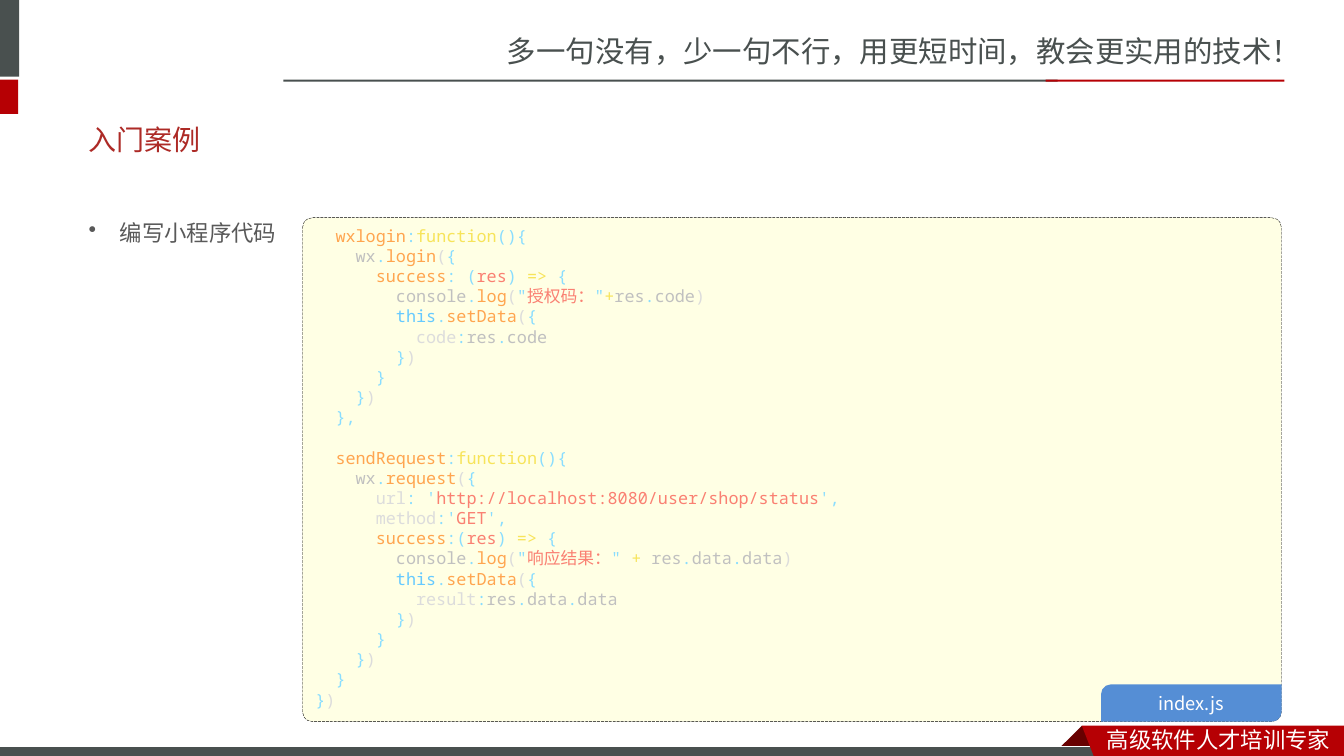
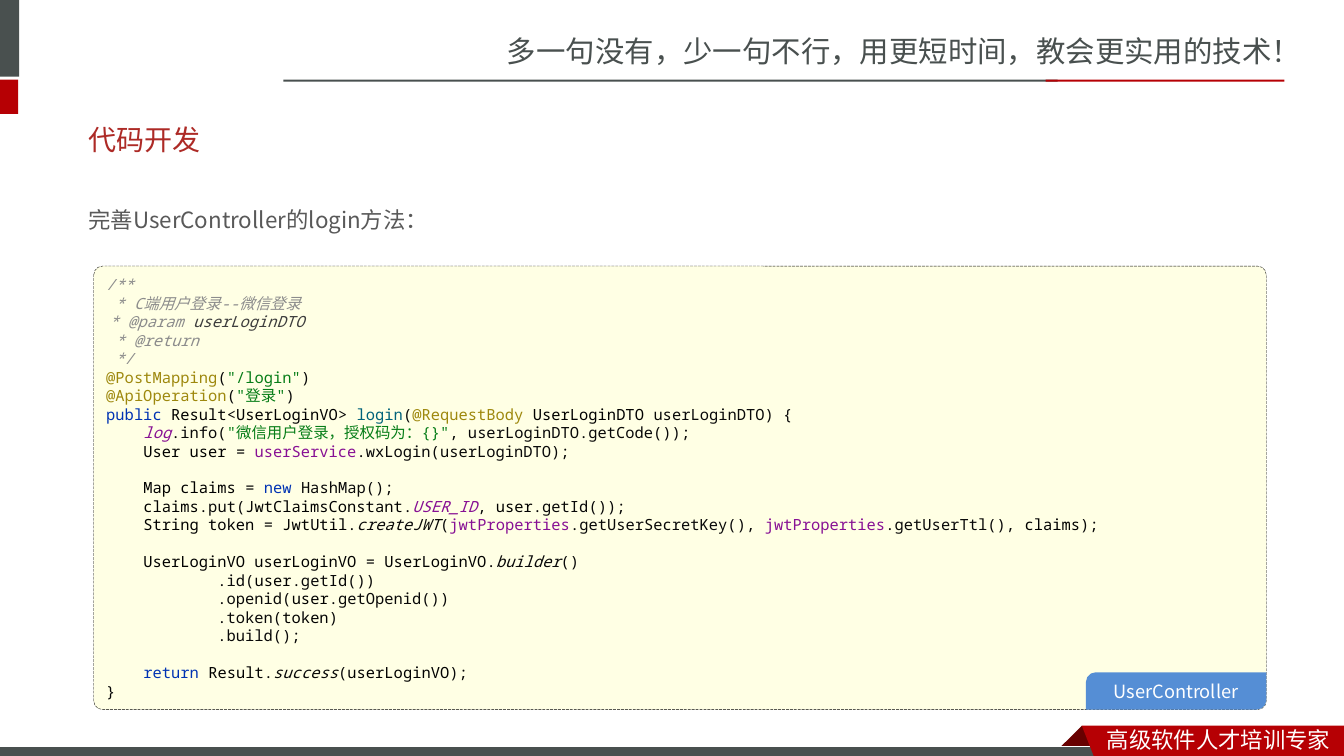
import dataclasses

import lxml.etree
import pptx
import pptx.dml.color
import pptx.enum.dml
import pptx.enum.shapes
import pptx.enum.text
import pptx.oxml.ns
import pptx.util

Inches = pptx.util.Inches
Pt = pptx.util.Pt
SHAPE = pptx.enum.shapes.MSO_SHAPE
ALIGN = pptx.enum.text.PP_ALIGN
ANCHOR = pptx.enum.text.MSO_ANCHOR


@dataclasses.dataclass(frozen=True)
class Theme:
    gray: str = "49504F"
    red: str = "B60004"
    dark_red: str = "680000"
    title_red: str = "AD2A26"
    body_gray: str = "595959"
    white: str = "FFFFFF"
    black: str = "000000"
    code_fill: str = "FFFFE4"
    label_fill: str = "558ED5"
    chrome_font: str = "Noto Sans CJK SC"
    body_font: str = "Noto Sans CJK JP"
    title_font: str = "Lato"
    code_font: str = "Noto Sans Mono"
    slogan_size: int = 21
    title_size: int = 20
    body_size: int = 16
    label_size: int = 13
    code_line_height: float = 1.2


THEME = Theme()

# Each palette maps the letter after "~" in a listing to a colour and an italic flag.
SCRIPT_PALETTE = {
    "g": ("DCDCDC", False),  # plain
    "n": ("C0C0C0", False),  # name
    "o": ("FFA54F", False),  # function name
    "p": ("89DDFF", False),  # punctuation
    "k": ("F7E45A", False),  # keyword
    "s": ("FA8072", False),  # string or parameter
    "t": ("66CAFF", False),  # this
}
JAVA_PALETTE = {
    "c": ("8C8C8C", True),   # comment
    "d": ("3D3D3D", True),   # documented parameter
    "a": ("9E880D", False),  # annotation
    "x": ("080808", False),  # plain
    "i": ("080808", True),   # static method
    "n": ("000000", False),  # name
    "s": ("067D17", False),  # string
    "k": ("0033B3", False),  # keyword
    "m": ("00627A", False),  # method declaration
    "f": ("871094", False),  # field
    "l": ("871094", True),   # static field
}

INDEX_JS = [
    "~g  ~owxlogin~p:~kfunction~p(){",
    "~g    ~nwx~p.~ologin~g(~p{",
    "~g      ~osuccess~p: (~sres~p) ~k=> ~p{",
    "~g        ~nconsole~p.~olog~g(~p\"~s授权码：~p\"~k+~nres~p.~ncode~g)",
    "~g        ~tthis~p.~osetData~g(~p{",
    "~g          code~p:~nres~p.~ncode",
    "~g        ~p}~g)",
    "~g      ~p}",
    "~g    ~p}~g)",
    "~g  ~p},",
    "~g\n  ~osendRequest~p:~kfunction~p(){",
    "~g    ~nwx~p.~orequest~g(~p{",
    "~g      url~p: '~shttp://localhost:8080/user/shop/status~p',",
    "~g      method~p:'~sGET~p',",
    "~g      ~osuccess~p:(~sres~p) ~k=> ~p{",
    "~g        ~nconsole~p.~olog~g(~p\"~s响应结果：~p\" ~k+ ~nres~p.~ndata~p.~ndata~g)",
    "~g        ~tthis~p.~osetData~g(~p{",
    "~g          result~p:~nres~p.~ndata~p.~ndata",
    "~g        ~p}~g)",
    "~g      ~p}",
    "~g    ~p}~g)",
    "~g  ~p}\n}~g)",
]

USER_CONTROLLER_LINES = [
    "~c/**",
    " * C端用户登录--微信登录",
    " * @param ~duserLoginDTO",
    " ~c* @return",
    " */",
    "~a@PostMapping~x(~s\"/login\"~x)",
    "~a@ApiOperation~x(~s\"登录\"~x)",
    "~kpublic ~nResult~x<~nUserLoginVO~x> ~mlogin~x(~a@RequestBody ~nUserLoginDTO ~xuserLoginDTO) {",
    "    ~llog~x.info(~s\"微信用户登录，授权码为：{}\"~x, userLoginDTO.getCode());",
    "    ~nUser user ~x= ~fuserService~x.wxLogin(userLoginDTO);",
    "",
    "    ~nMap claims ~x= ~knew ~xHashMap();",
    "    ~nclaims~x.put(~nJwtClaimsConstant~x.~lUSER_ID~x, ~nuser~x.getId());",
    "    ~nString token ~x= ~nJwtUtil~x.~icreateJWT~x(~fjwtProperties~x.getUserSecretKey(), "
    "~fjwtProperties~x.getUserTtl(), ~nclaims~x);",
    "",
    "    ~nUserLoginVO userLoginVO ~x= ~nUserLoginVO~x.~ibuilder~x()",
    "            .id(~nuser~x.getId())",
    "            .openid(~nuser~x.getOpenid())",
    "            .token(~ntoken~x)",
    "            .build();",
    "",
    "    ~kreturn ~nResult~x.~isuccess~x(~nuserLoginVO~x);",
    "}",
]


def rgb(color):
    return pptx.dml.color.RGBColor.from_string(color)


def write_text(paragraph, text, *, size, color, font, east_asian=None, italic=False):
    """Append formatted runs, turning each newline into a line break."""
    for index, line in enumerate(text.split("\n")):
        if index:
            paragraph.add_line_break()
        if not line:
            continue
        run = paragraph.add_run()
        run.text = line
        run.font.size = Pt(size)
        run.font.color.rgb = rgb(color)
        run.font.name = font
        if italic:
            run.font.italic = True
        east_asian_font = lxml.etree.SubElement(
            run.font._element, pptx.oxml.ns.qn("a:ea"))
        east_asian_font.set("typeface", east_asian or font)


def add_text(slide, box, text, *, anchor=ANCHOR.TOP, line_spacing=None,
             bullet=False, **text_format):
    frame = slide.shapes.add_textbox(*map(Inches, box)).text_frame
    frame.word_wrap = True
    frame.vertical_anchor = anchor
    paragraph = frame.paragraphs[0]
    if bullet:
        indent = Inches(0.31)
        properties = paragraph._p.get_or_add_pPr()
        properties.set("marL", str(indent))
        properties.set("indent", str(-indent))
        mark = lxml.etree.SubElement(properties, pptx.oxml.ns.qn("a:buChar"))
        mark.set("char", "•")
    if line_spacing:
        paragraph.line_spacing = line_spacing
    write_text(paragraph, text, **text_format)


def paint(shape, fill, line=None, line_width=0.75):
    shape.shadow.inherit = False
    shape.fill.solid()
    shape.fill.fore_color.rgb = rgb(fill)
    if line:
        shape.line.color.rgb = rgb(line)
        shape.line.width = Pt(line_width)
    else:
        shape.line.fill.background()


def add_shape(slide, kind, box, fill, **line_format):
    shape = slide.shapes.add_shape(kind, *map(Inches, box))
    paint(shape, fill, **line_format)
    return shape


def add_polygon(slide, points, fill):
    start, *others = [(Inches(x), Inches(y)) for x, y in points]
    builder = slide.shapes.build_freeform(*start)
    builder.add_line_segments(others, close=True)
    paint(builder.convert_to_shape(), fill)


def add_frame(slide):
    """Draw the slogan, side bars, rules and footer ribbon."""
    add_text(slide, (4.93, 0.28, 8.41, 0.47),
             "多一句没有，少一句不行，用更短时间，教会更实用的技术！",
             size=THEME.slogan_size, color=THEME.gray, font=THEME.chrome_font)
    for box, fill in (
        ((-0.06, 0, 0.25, 0.76), THEME.gray),
        ((-0.06, 0.79, 0.24, 0.34), THEME.red),
        ((2.81, 0.79, 7.68, 0.02), THEME.gray),
        ((10.37, 0.79, 2.37, 0.02), THEME.red),
    ):
        add_shape(slide, SHAPE.RECTANGLE, box, fill)
    add_polygon(slide, [(10.73, 7.2), (10.95, 7.42), (10.94, 7.43),
                        (10.52, 7.43), (10.51, 7.42)], THEME.dark_red)
    add_shape(slide, SHAPE.RECTANGLE, (-0.01, 7.41, 11, 0.12), THEME.gray,
              line=THEME.white)
    add_polygon(slide, [(10.73, 7.2), (13.33, 7.2), (13.33, 7.54),
                        (10.86, 7.53)], THEME.red)
    add_text(slide, (10.88, 7.15, 2.45, 0.37), "高级软件人才培训专家",
             size=THEME.body_size, color=THEME.white, font=THEME.chrome_font)


def add_content_slide(presentation, title):
    slide = presentation.slides.add_slide(presentation.slide_layouts[6])
    add_frame(slide)
    add_text(slide, (0.78, 1.1, 11.7, 0.57), title, anchor=ANCHOR.MIDDLE,
             size=THEME.title_size, color=THEME.title_red,
             font=THEME.title_font, east_asian=THEME.chrome_font)
    return slide


def add_body_text(slide, box, text, **paragraph_format):
    add_text(slide, box, text, size=THEME.body_size, color=THEME.body_gray,
             font=THEME.body_font, **paragraph_format)


def add_file_label(slide, right, bottom, file_name):
    width, height = 1.79, 0.37
    label = add_shape(slide, SHAPE.ROUND_2_DIAG_RECTANGLE,
                      (right - width, bottom - height, width, height),
                      THEME.label_fill)
    label.adjustments[0] = 0.26
    label.adjustments[1] = 0
    frame = label.text_frame
    frame.margin_left = frame.margin_right = 0
    frame.margin_top = frame.margin_bottom = 0
    frame.vertical_anchor = ANCHOR.MIDDLE
    paragraph = frame.paragraphs[0]
    paragraph.alignment = ALIGN.CENTER
    write_text(paragraph, file_name, size=THEME.label_size, color=THEME.white,
               font=THEME.body_font)


def add_code_panel(slide, box, listing, palette, *, size, file_name,
                   anchor=ANCHOR.TOP):
    """Draw a listing, one paragraph per item, with its file name in the corner."""
    left, top, width, height = box
    panel = add_shape(slide, SHAPE.ROUNDED_RECTANGLE, box, THEME.code_fill,
                      line=THEME.black, line_width=0.25)
    panel.line.dash_style = pptx.enum.dml.MSO_LINE.LONG_DASH
    panel.adjustments[0] = 0.02
    frame = panel.text_frame
    frame.word_wrap = True
    frame.vertical_anchor = anchor
    for index, code in enumerate(listing):
        paragraph = frame.add_paragraph() if index else frame.paragraphs[0]
        paragraph.alignment = ALIGN.LEFT
        paragraph.line_spacing = Pt(size * THEME.code_line_height)
        for token in code.split("~")[1:]:
            color, italic = palette[token[0]]
            write_text(paragraph, token[1:], size=size, color=color,
                       italic=italic, font=THEME.code_font,
                       east_asian=THEME.chrome_font)
    add_file_label(slide, left + width, top + height, file_name)


def main():
    presentation = pptx.Presentation()
    presentation.slide_width = Inches(13.33)
    presentation.slide_height = Inches(7.5)

    slide = add_content_slide(presentation, "入门案例")
    add_body_text(slide, (0.78, 1.86, 11.26, 0.56), "编写小程序代码",
                  bullet=True, line_spacing=2.0)
    add_code_panel(slide, (3, 2.16, 9.71, 5), INDEX_JS, SCRIPT_PALETTE,
                   size=12, file_name="index.js")

    slide = add_content_slide(presentation, "代码开发")
    add_body_text(slide, (0.78, 1.86, 11.39, 0.46),
                  "完善UserController的login方法：", line_spacing=1.5)
    add_code_panel(slide, (0.93, 2.64, 11.63, 4.4),
                   ["\n".join(USER_CONTROLLER_LINES)], JAVA_PALETTE,
                   size=11, file_name="UserController", anchor=ANCHOR.MIDDLE)

    presentation.save("out.pptx")


if __name__ == "__main__":
    main()
